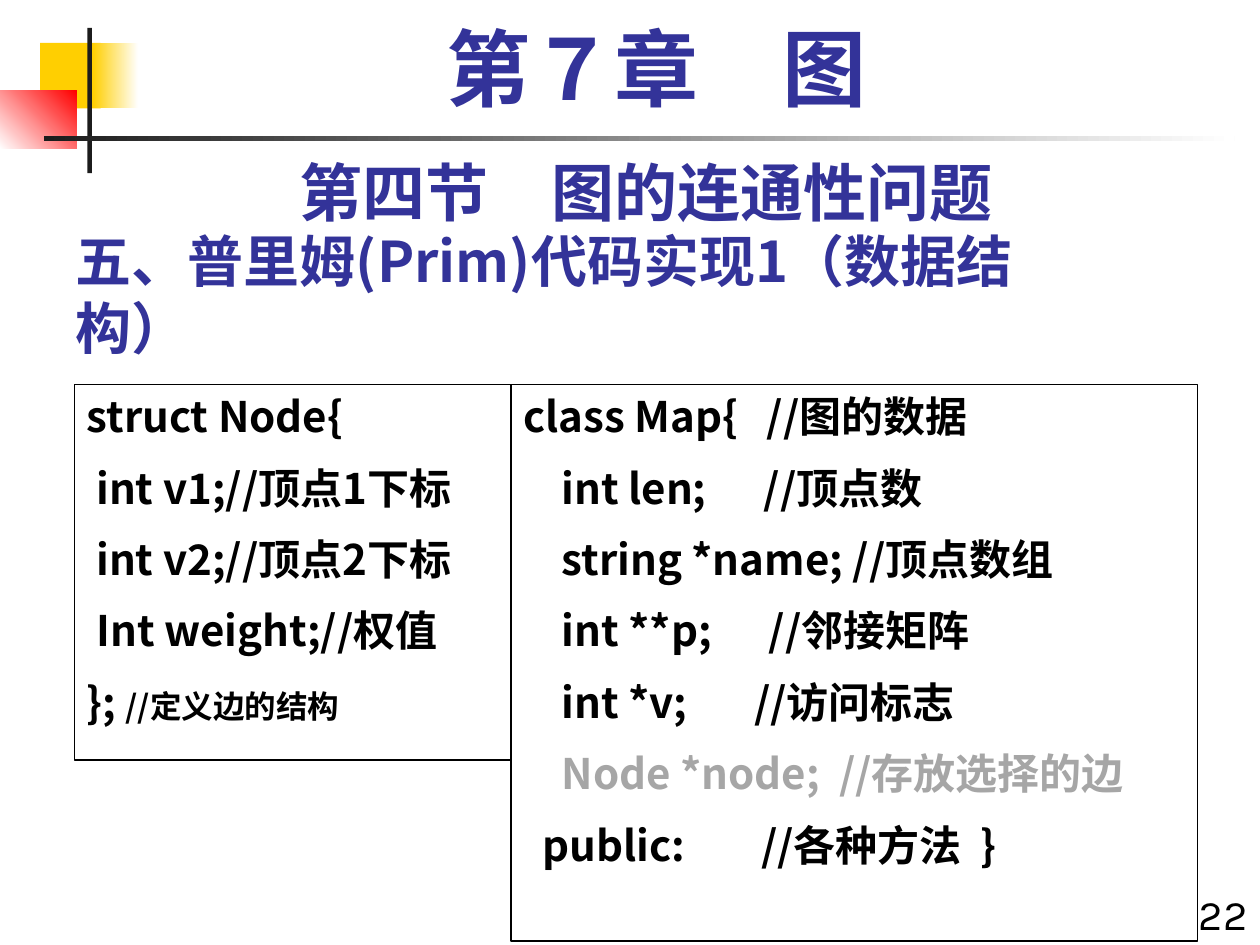
from lxml.etree import SubElement
from pptx import Presentation
from pptx.dml.color import RGBColor
from pptx.enum.shapes import MSO_SHAPE
from pptx.enum.text import MSO_ANCHOR, MSO_AUTO_SIZE, PP_ALIGN
from pptx.oxml.ns import qn
from pptx.util import Pt

COLORS = {
    "yellow": "FFCF01", "red": "FF0000", "white": "FFFFFF", "bar": "1C1C1C",
    "heading": "333399", "black": "000000", "muted": "A6A6A6",
}
CJK_FONT = "Noto Sans CJK SC"
LEADING = 1.2


def rgb(name):
    """Return the palette colour with this name."""
    return RGBColor.from_string(COLORS[name])


def add_run(paragraph, text, size=24, color="black", font=CJK_FONT, bold=True):
    """Append formatted text to a paragraph."""
    run = paragraph.add_run()
    run.text = text
    run.font.size = Pt(size)
    run.font.bold = bold
    run.font.name = font
    run.font.color.rgb = rgb(color)
    SubElement(run.font._element, qn("a:ea"), typeface=CJK_FONT)


def write_lines(frame, lines, align=PP_ALIGN.LEFT, anchor=MSO_ANCHOR.TOP,
                size=24, leading=LEADING, gap=0, **style):
    """Fill a text frame with lines, each a list of (text, overrides)."""
    frame.word_wrap = True
    frame.auto_size = MSO_AUTO_SIZE.NONE
    frame.vertical_anchor = anchor
    for index, pieces in enumerate(lines):
        paragraph = frame.paragraphs[0] if index == 0 else frame.add_paragraph()
        paragraph.alignment = align
        paragraph.line_spacing = Pt(round(size * leading, 1))
        paragraph.space_before = Pt(gap if index else 0)
        for text, overrides in pieces:
            add_run(paragraph, text, **{"size": size, **style, **overrides})


def add_label(slide, box, text, **style):
    """Place a one-line text box."""
    label = slide.shapes.add_textbox(*map(Pt, box))
    write_lines(label.text_frame, [[(text, {})]], **style)


def add_block(slide, box, start, end=None, angle=0):
    """Place a borderless rectangle, solid or with a gradient."""
    block = slide.shapes.add_shape(MSO_SHAPE.RECTANGLE, *map(Pt, box))
    block.shadow.inherit = False
    block.line.fill.background()
    if end is None:
        block.fill.solid()
        block.fill.fore_color.rgb = rgb(start)
        return
    block.fill.gradient()
    block.fill.gradient_angle = angle
    for stop, color in zip(block.fill.gradient_stops, (start, end)):
        stop.color.rgb = rgb(color)


def add_ornament(slide, box):
    """Place the coloured squares and crossing bars in the header."""
    left, top, width, height = box
    add_block(slide, (left + 23, top + 8.5, 34.5, 37.5), "yellow")
    add_block(slide, (left + 53, top + 8.5, 26, 37.5), "yellow", "white")
    add_block(slide, (left, top + 36, 44, 33), "white", "red", angle=45)
    add_block(slide, (left + 50, top, 2.5, height), "bar")
    add_block(slide, (left + 25, top + 62, width - 25, 2.5), "bar", "white")


def add_headings(slide, box):
    """Place the chapter, section and topic headings."""
    left, top, width, height = box
    add_label(slide, (left + 12, top, width - 12, 60), "第７章　图", size=48,
              font="Times New Roman", color="heading", align=PP_ALIGN.CENTER,
              leading=LEADING * 0.9)
    add_label(slide, (left, top + 72, width, 50), "第四节　图的连通性问题", size=36,
              font="Karla", color="heading", align=PP_ALIGN.CENTER)
    topic = slide.shapes.title
    topic.left, topic.top = Pt(left), Pt(top + height - 54)
    topic.width, topic.height = Pt(594), Pt(54)
    write_lines(topic.text_frame, [[("五、普里姆(Prim)代码实现1（数据结构）", {})]],
                size=32, color="heading", anchor=MSO_ANCHOR.BOTTOM)


def add_code(slide, box, lines):
    """Place a framed code listing."""
    listing = slide.shapes.add_shape(MSO_SHAPE.RECTANGLE, *map(Pt, box))
    listing.shadow.inherit = False
    listing.fill.background()
    listing.line.color.rgb = rgb("black")
    listing.line.width = Pt(0.75)
    write_lines(listing.text_frame, lines, gap=12)


def main():
    """Build the slide and save it."""
    deck = Presentation()
    deck.slide_width, deck.slide_height = Pt(720), Pt(540)
    slide = deck.slides.add_slide(deck.slide_layouts[5])

    add_ornament(slide, (0, 16, 705.5, 83))
    add_headings(slide, (36, 12, 666, 198))
    node_lines = [
        [("struct Node{", {})],
        [(" int v1;//顶点1下标", {})],
        [(" int v2;//顶点2下标", {})],
        [(" Int weight;//权值", {})],
        [("}; ", {}), ("//定义边的结构", {"size": 18})],
    ]
    map_lines = [
        [("class Map{   //图的数据", {})],
        [("    int len;      //顶点数", {})],
        [("    string *name; //顶点数组", {})],
        [("    int **p;      //邻接矩阵", {})],
        [("    int *v;       //访问标志", {})],
        [("    ", {}), ("Node *node;  //存放选择的边", {"color": "muted"})],
        [("  public:        //各种方法  }", {})],
    ]
    add_code(slide, (42.5, 219.75, 249.5, 214.5), node_lines)
    add_code(slide, (292, 219.75, 392.5, 318), map_lines)
    add_label(slide, (672, 504, 48, 36), "22", font="Karla", bold=False,
              align=PP_ALIGN.RIGHT)
    deck.save("out.pptx")


if __name__ == "__main__":
    main()
